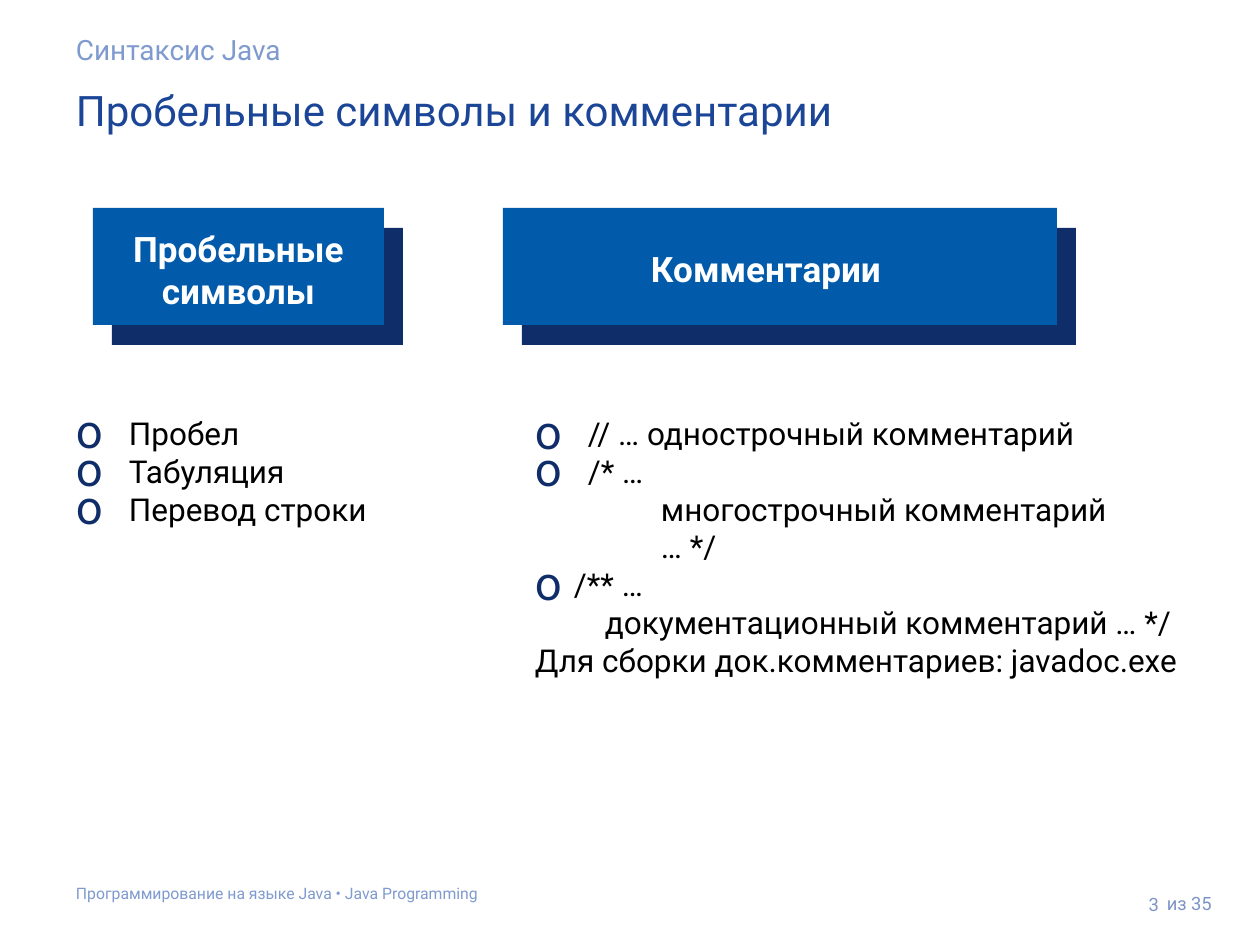
from dataclasses import dataclass
from lxml.etree import SubElement
from pptx import Presentation
from pptx.dml.color import RGBColor as Rgb
from pptx.enum.shapes import MSO_SHAPE as Shape
from pptx.enum.text import MSO_ANCHOR as Anchor, PP_ALIGN as Align
from pptx.oxml.ns import qn
from pptx.util import Pt

SCALE = 914400 / 126


@dataclass(frozen=True)
class Theme:
    """Colours, font and type sizes of the slide."""
    font: str = "Roboto"
    title: str = "1B4597"
    muted: str = "7F9ACF"
    number: str = "7D95C4"
    card: str = "015AAA"
    dark: str = "0F2D69"
    white: str = "FFFFFF"
    body: str = "000000"
    title_size: float = 24
    section_size: float = 16
    footer_size: float = 9
    number_size: float = 10.5
    card_size: float = 20
    body_size: float = 18


THEME = Theme()


def px(value):
    """Turn pixels into EMU."""
    return round(value * SCALE)


def add_frame(page, box, inset=6, anchor=Anchor.TOP):
    """Add a wrapping text box and return its text frame."""
    frame = page.shapes.add_textbox(*map(px, box)).text_frame
    frame.word_wrap = True
    frame.vertical_anchor = anchor
    frame.margin_left = frame.margin_right = px(13)
    frame.margin_top = frame.margin_bottom = px(inset)
    return frame


def add_span(para, text, size, color, bold=False):
    """Add one styled run to a paragraph."""
    span = para.add_run()
    span.text = text
    span.font.name = THEME.font
    span.font.size = Pt(size)
    span.font.bold = bold
    span.font.color.rgb = Rgb.from_string(color)


def add_line(page, box, text, size, color, inset=13, anchor=Anchor.TOP,
             align=Align.LEFT, bold=False):
    """Add a text box that holds a single paragraph."""
    para = add_frame(page, box, inset, anchor).paragraphs[0]
    para.alignment = align
    add_span(para, text, size, color, bold)


def add_header(page, box):
    """Place the section name above the slide title."""
    left, top, width, height = box
    add_line(page, (left, top, width, 59), "Синтаксис Java",
             THEME.section_size, THEME.muted)
    add_line(page, (left, top + 52, width, height - 52),
             "Пробельные символы и комментарии", THEME.title_size, THEME.title)


def add_card(page, box, label, label_box):
    """Place a card over its offset backing, with a label inside it."""
    left, top, width, height = box
    for shift_x, shift_y, color in ((19, 20, THEME.dark), (0, 0, THEME.card)):
        card = page.shapes.add_shape(Shape.RECTANGLE, *map(
            px, (left + shift_x, top + shift_y, width, height)))
        card.shadow.inherit = False
        card.fill.solid()
        card.fill.fore_color.rgb = Rgb.from_string(color)
        card.line.fill.background()
    label_x, label_y, label_width, label_height = label_box
    add_line(page, (left + label_x, top + label_y, label_width, label_height),
             label, THEME.card_size, THEME.white, inset=6,
             align=Align.CENTER, bold=True)


def set_indent(para, margin, bullet):
    """Set the left margin and, if asked, a hanging round bullet."""
    props = para._p.get_or_add_pPr()
    props.set("marL", str(px(margin)))
    props.set("indent", str(px(-margin if bullet else 0)))
    if not bullet:
        SubElement(props, qn("a:buNone"))
        return
    color = SubElement(props, qn("a:buClr"))
    SubElement(color, qn("a:srgbClr"), val=THEME.dark)
    SubElement(props, qn("a:buSzPct"), val="150000")
    SubElement(props, qn("a:buFont"), typeface=THEME.font)
    SubElement(props, qn("a:buChar"), char="o")


def add_list(page, box, items):
    """Place a list of (text, margin, bullet) items."""
    frame = add_frame(page, box)
    for index, (text, margin, bullet) in enumerate(items):
        para = frame.add_paragraph() if index else frame.paragraphs[0]
        set_indent(para, margin, bullet)
        add_span(para, text, THEME.body_size, THEME.body)


def add_footer(page, box):
    """Place the course name and the page number."""
    left, top, width, height = box
    add_line(page, (left, top + 6, 1134, 44),
             "Программирование на языке Java • Java Programming",
             THEME.footer_size, THEME.muted)
    add_line(page, (left + width - 87, top + 10, 87, 50), "из 35",
             THEME.number_size, THEME.number, 6, Anchor.MIDDLE)
    add_line(page, (left + width - 145, top, 76, height), "3",
             THEME.number_size, THEME.number, 13, Anchor.MIDDLE, Align.RIGHT)


def add_comments_page(deck):
    """Build the slide on whitespace and comments."""
    page = deck.slides.add_slide(deck.slide_layouts[6])
    add_header(page, (63, 20, 1158, 129))
    add_card(page, (93, 208, 291, 117), "Пробельные символы", (15, 13, 261, 97))
    add_card(page, (503, 208, 554, 117), "Комментарии", (15, 33, 496, 55))
    add_list(page, (63, 408, 348, 165), [
        (text, 53, True) for text in ("Пробел", "Табуляция", "Перевод строки")])
    add_list(page, (522, 408, 730, 357), [
        ("// … однострочный комментарий", 53, True),
        ("/* …", 53, True),
        ("многострочный комментарий", 126, False),
        ("… */", 126, False),
        ("/** …", 39, True),
        ("документационный комментарий … */", 70, False),
        ("Для сборки док.комментариев: javadoc.exe", 0, False)])
    add_footer(page, (63, 868, 1178, 72))


def main():
    """Create and save the deck."""
    deck = Presentation()
    deck.slide_width, deck.slide_height = px(1260), px(945)
    add_comments_page(deck)
    deck.save("out.pptx")


if __name__ == "__main__":
    main()
